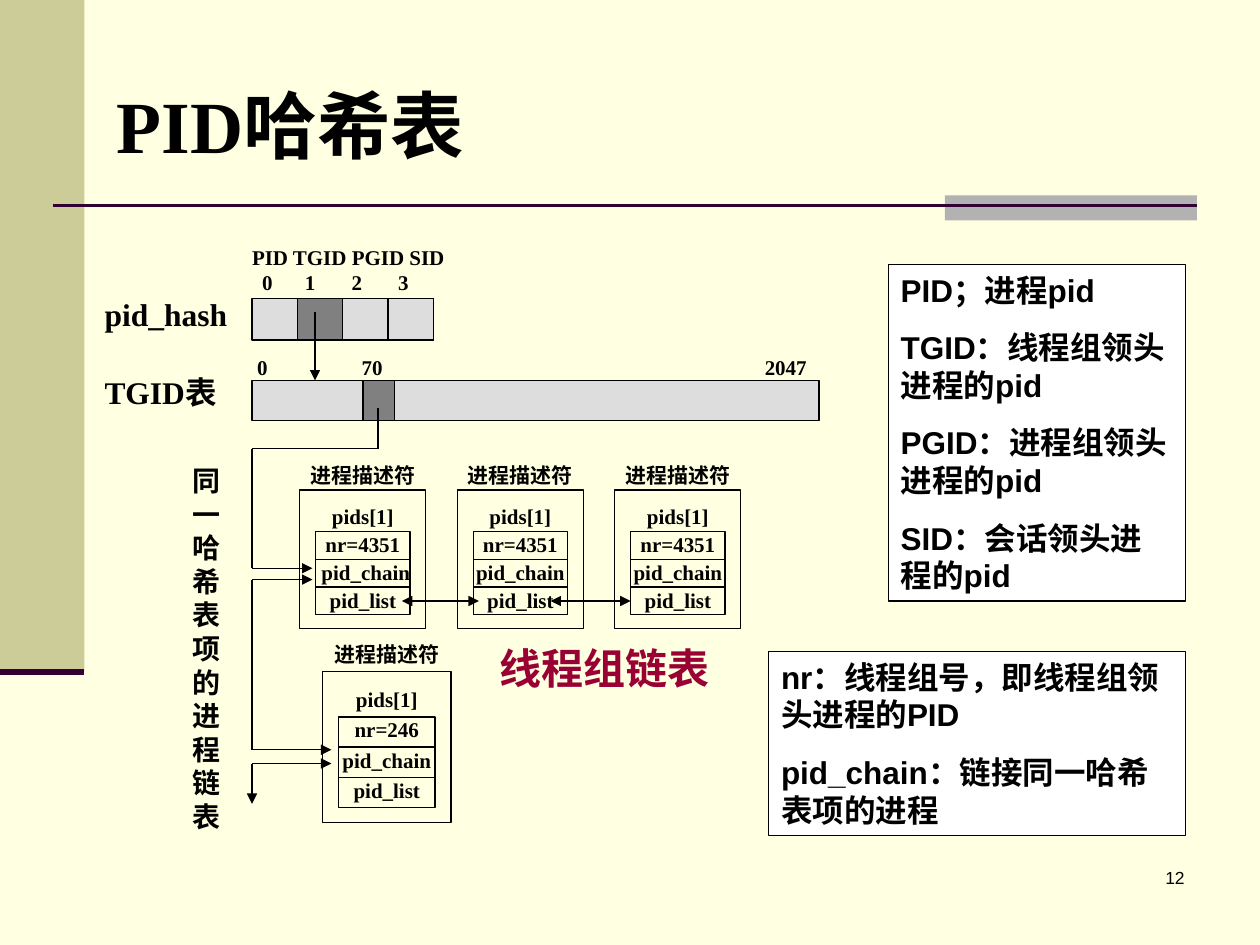
from dataclasses import dataclass
from typing import NamedTuple

from lxml.etree import SubElement
from pptx import Presentation
from pptx.dml.color import RGBColor
from pptx.enum.shapes import MSO_CONNECTOR, MSO_SHAPE
from pptx.enum.text import MSO_ANCHOR, PP_ALIGN
from pptx.oxml.ns import qn
from pptx.util import Inches, Pt


@dataclass(frozen=True)
class Theme:
    background: str = "FFFFE1"
    band: str = "CCCC99"
    accent: str = "B2B2B2"
    rule: str = "330033"
    ink: str = "000000"
    cell: str = "DDDDDD"
    selected: str = "808080"
    note: str = "FFFFFF"
    emphasis: str = "990033"
    serif: str = "Times New Roman"
    sans: str = "Arial"
    title: float = 42
    heading: float = 24
    body: float = 18
    chain: float = 16
    small: float = 12
    number: float = 10
    thin: float = 0.75
    medium: float = 1.5
    thick: float = 3.5
    note_gap: float = 11.2


class Box(NamedTuple):
    left: float
    top: float
    width: float
    height: float


class Descriptor(NamedTuple):
    left: float
    top: float
    width: float
    row: float
    nr: str
    chain_align: PP_ALIGN = PP_ALIGN.CENTER


class Link(NamedTuple):
    start: tuple
    end: tuple
    head: bool = False
    tail: bool = False


THEME = Theme()
PADDING = (0.1, 0.05)


def color(value: str) -> RGBColor:
    return RGBColor.from_string(value)


def write(shape, text: str, *, size=THEME.small, font=THEME.serif, ink=THEME.ink,
          bold=True, align=PP_ALIGN.LEFT, anchor=MSO_ANCHOR.TOP,
          padding=(0, 0), gap=0, tabs=()):
    frame = shape.text_frame
    frame.word_wrap = True
    frame.vertical_anchor = anchor
    frame.margin_left = frame.margin_right = Inches(padding[0])
    frame.margin_top = frame.margin_bottom = Inches(padding[1])
    for index, line in enumerate(text.split("\n")):
        paragraph = frame.add_paragraph() if index else frame.paragraphs[0]
        if "\t" in line:
            stops = SubElement(paragraph._p.get_or_add_pPr(), qn("a:tabLst"))
            for stop in tabs:
                SubElement(stops, qn("a:tab"), pos=str(Inches(stop)), algn="l")
        paragraph.alignment = align
        if index and gap:
            paragraph.space_before = Pt(gap)
        run = paragraph.add_run()
        run.text = line
        run.font.size = Pt(size)
        run.font.name = font
        run.font.bold = bold
        run.font.color.rgb = color(ink)


def add_label(slide, box: Box, text: str, **style):
    label = slide.shapes.add_textbox(*map(Inches, box))
    write(label, text, **style)
    return label


def add_rect(slide, box: Box, fill=None, line=THEME.ink):
    rect = slide.shapes.add_shape(MSO_SHAPE.RECTANGLE, *map(Inches, box))
    rect.shadow.inherit = False
    if fill:
        rect.fill.solid()
        rect.fill.fore_color.rgb = color(fill)
    else:
        rect.fill.background()
    if line:
        rect.line.color.rgb = color(line)
        rect.line.width = Pt(THEME.thin)
    else:
        rect.line.fill.background()
    return rect


def add_link(slide, link: Link, ink=THEME.ink, width=THEME.thin):
    line = slide.shapes.add_connector(
        MSO_CONNECTOR.STRAIGHT, *map(Inches, link.start + link.end))
    line.line.color.rgb = color(ink)
    line.line.width = Pt(width)
    stroke = line.line._get_or_add_ln()
    for shown, tag in ((link.head, "a:headEnd"), (link.tail, "a:tailEnd")):
        if shown:
            SubElement(stroke, qn(tag), type="triangle")
    SubElement(line._element.spPr, qn("a:effectLst"))
    return line


def add_descriptor(slide, item: Descriptor):
    left, top, width, row, nr, chain_align = item
    margin = width / 8
    inner_left, inner_width = left + margin, width - 2 * margin
    add_rect(slide, Box(left, top, width, 5 * row))
    add_label(slide, Box(left, top - row, width, row), "进程描述符", align=PP_ALIGN.CENTER)
    add_label(slide, Box(inner_left, top + row / 2, inner_width, row), "pids[1]",
              align=PP_ALIGN.CENTER)
    fields = ((f"nr={nr}", PP_ALIGN.CENTER), ("pid_chain", chain_align),
              ("pid_list", PP_ALIGN.CENTER))
    for index, (text, align) in enumerate(fields):
        field = add_rect(slide, Box(inner_left, top + row * (index + 1.5), inner_width, row))
        write(field, text, align=align)
    return field


def add_note(slide, box: Box, text: str):
    note = add_rect(slide, box, THEME.note)
    write(note, text, size=THEME.body, font=THEME.sans, padding=PADDING, gap=THEME.note_gap)


def main():
    deck = Presentation()
    deck.slide_width, deck.slide_height = Inches(10), Inches(7.5)
    slide = deck.slides.add_slide(deck.slide_layouts[6])
    slide.background.fill.solid()
    slide.background.fill.fore_color.rgb = color(THEME.background)

    add_rect(slide, Box(0, 0, 0.67, 5.33), THEME.band, None)
    add_rect(slide, Box(7.5, 1.55, 2, 0.2), THEME.accent, None)
    add_link(slide, Link((0.42, 1.63), (9.5, 1.63)), THEME.rule, THEME.medium)
    add_link(slide, Link((0, 5.33), (0.67, 5.33)), THEME.rule, THEME.thick)
    add_label(slide, Box(7.42, 6.83, 2.08, 0.5), "12", size=THEME.number,
              font=THEME.sans, bold=False, align=PP_ALIGN.RIGHT, padding=PADDING)
    add_label(slide, Box(0.83, 0.36, 8.5, 1.25), "PID哈希表", size=THEME.title,
              anchor=MSO_ANCHOR.MIDDLE, padding=PADDING)

    add_rect(slide, Box(2, 2.37, 1.44, 0.33), THEME.cell)
    add_rect(slide, Box(2.36, 2.37, 0.36, 0.33), THEME.selected)
    add_rect(slide, Box(3.08, 2.37, 0.36, 0.33))
    add_label(slide, Box(2, 1.94, 1.58, 0.43), "PID TGID PGID SID\n\t0\t1\t2\t3",
              tabs=(0.08, 0.42, 0.79, 1.16))
    add_label(slide, Box(0.83, 2.33, 1.18, 0.36), "pid_hash", size=THEME.body,
              padding=(0, 0.01))
    add_label(slide, Box(0.83, 2.96, 1.3, 0.39), "TGID表", size=THEME.body)
    add_rect(slide, Box(2, 3.02, 4.5, 0.32), THEME.cell)
    add_rect(slide, Box(2.88, 3.02, 0.25, 0.32), THEME.selected)
    add_label(slide, Box(2, 2.81, 4.5, 0.22), "\t0\t70\t2047", tabs=(0.04, 0.87, 4.07))

    add_descriptor(slide, Descriptor(2.38, 3.89, 1, 0.22, "4351", PP_ALIGN.RIGHT))
    add_descriptor(slide, Descriptor(3.63, 3.89, 1, 0.22, "4351"))
    last_list = add_descriptor(slide, Descriptor(4.88, 3.89, 1, 0.22, "4351"))
    add_descriptor(slide, Descriptor(2.56, 5.33, 1.02, 0.24, "246"))

    links = (
        Link((2.5, 2.48), (2.5, 3.02), tail=True),
        Link((3, 3.24), (3, 3.56)),
        Link((3, 3.56), (2, 3.56)),
        Link((2, 3.56), (2, 4.51)),
        Link((2, 4.51), (2.48, 4.51), tail=True),
        Link((2, 4.6), (2.48, 4.6), tail=True),
        Link((2, 4.6), (2, 5.95)),
        Link((2, 5.95), (2.63, 5.95), tail=True),
        Link((2, 6.06), (2.63, 6.06), tail=True),
        Link((2, 6.06), (2, 6.38), tail=True),
        Link((3.19, 4.77), (3.8, 4.77), head=True, tail=True),
    )
    for link in links:
        add_link(slide, link)
    list_link = add_link(slide, Link((4.37, 4.77), (5, 4.77), head=True, tail=True))
    list_link.end_connect(last_list, 1)

    add_label(slide, Box(2.87, 5.09, 2.76, 0.47), "线程组链表", size=THEME.heading,
              ink=THEME.emphasis, align=PP_ALIGN.RIGHT, padding=(0, 0.01))
    add_label(slide, Box(1.53, 3.67, 0.34, 3.15), "同一哈希表项的进程链 表",
              size=THEME.chain, padding=(0, 0.01))
    add_note(slide, Box(6.1, 5.17, 3.31, 1.46),
             "nr：线程组号，即线程组领头进程的PID\npid_chain：链接同一哈希表项的进程")
    add_note(slide, Box(7.05, 2.1, 2.36, 2.67),
             "PID；进程pid\nTGID：线程组领头进程的pid\n"
             "PGID：进程组领头进程的pid\nSID：会话领头进程的pid")
    deck.save("out.pptx")


if __name__ == "__main__":
    main()
